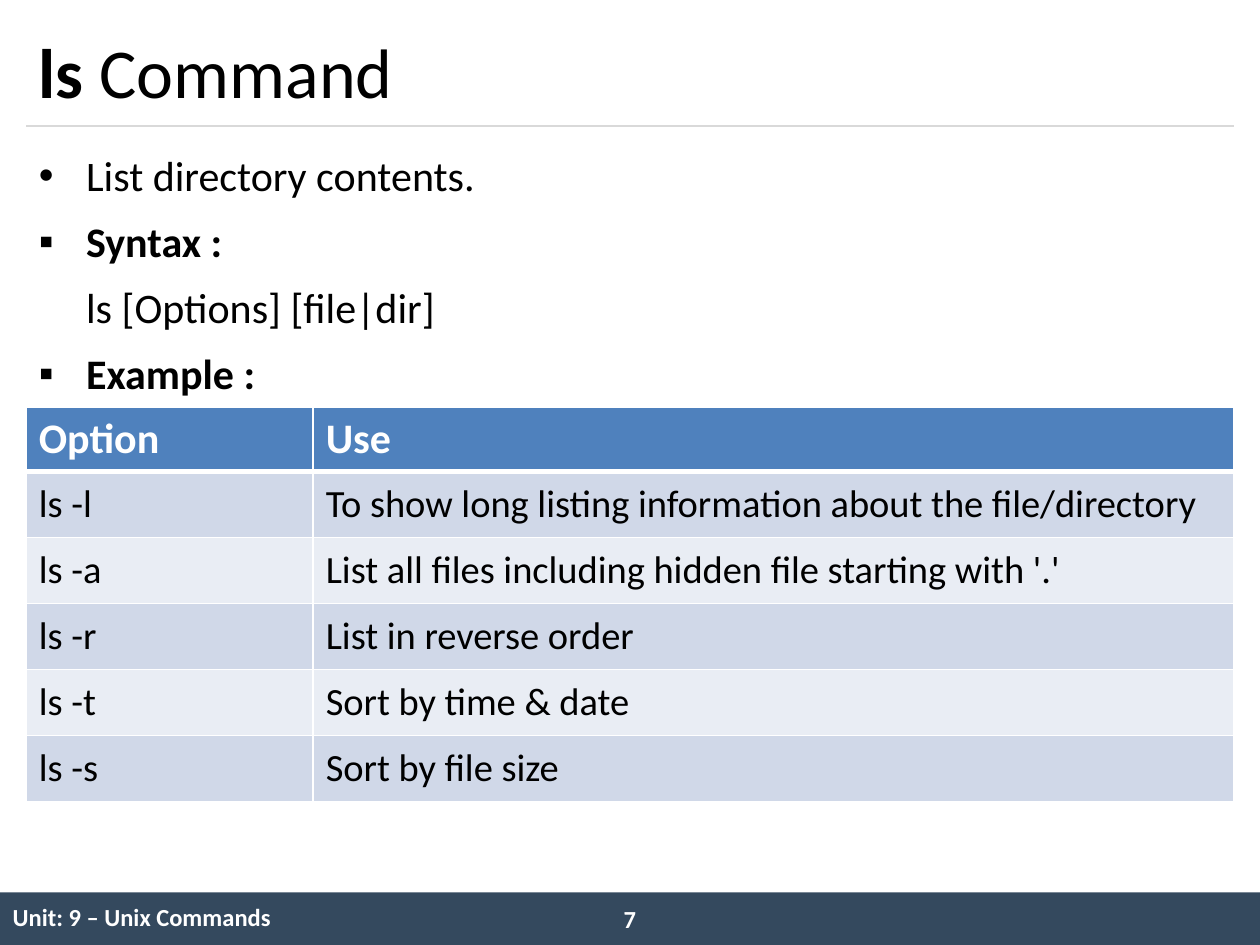
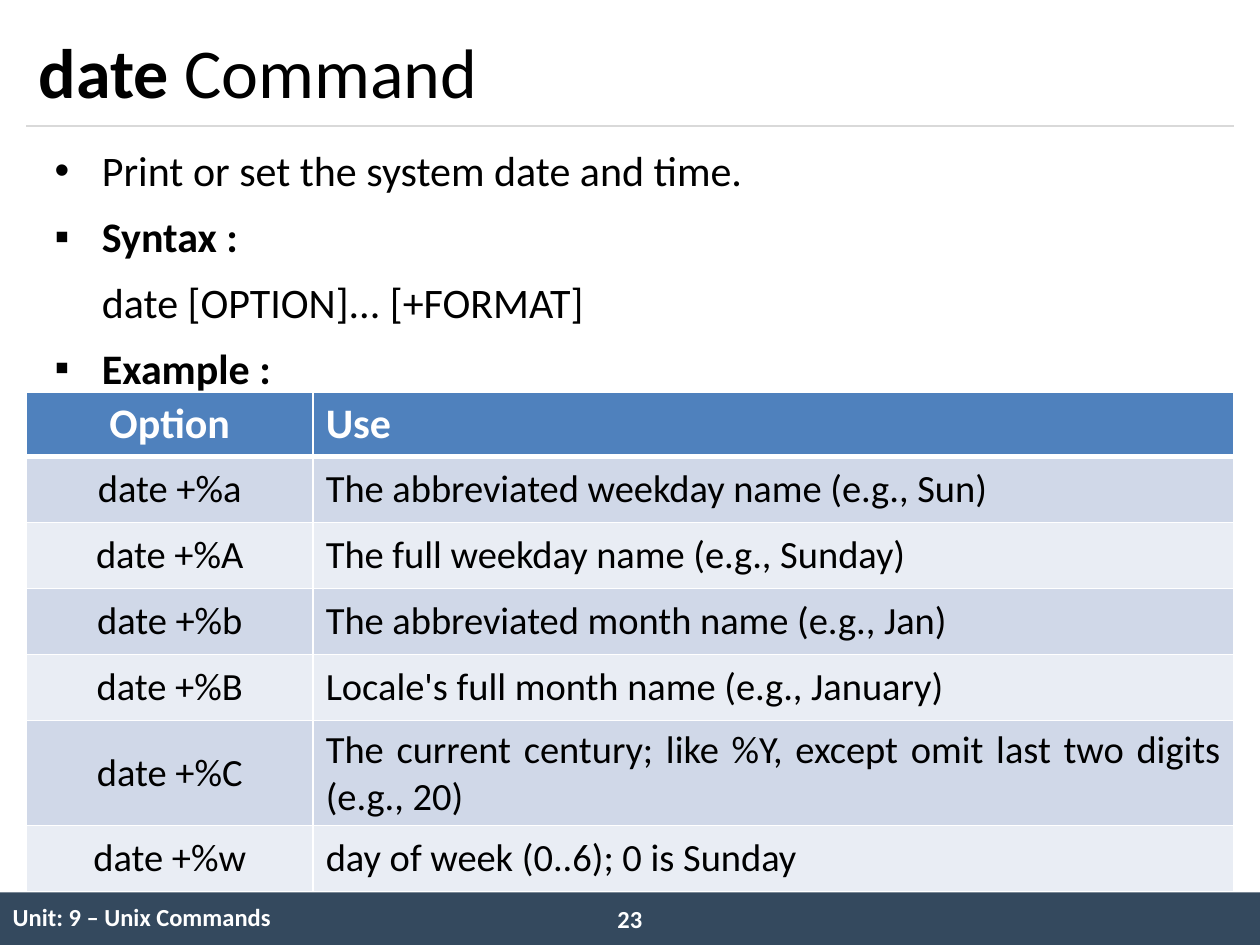
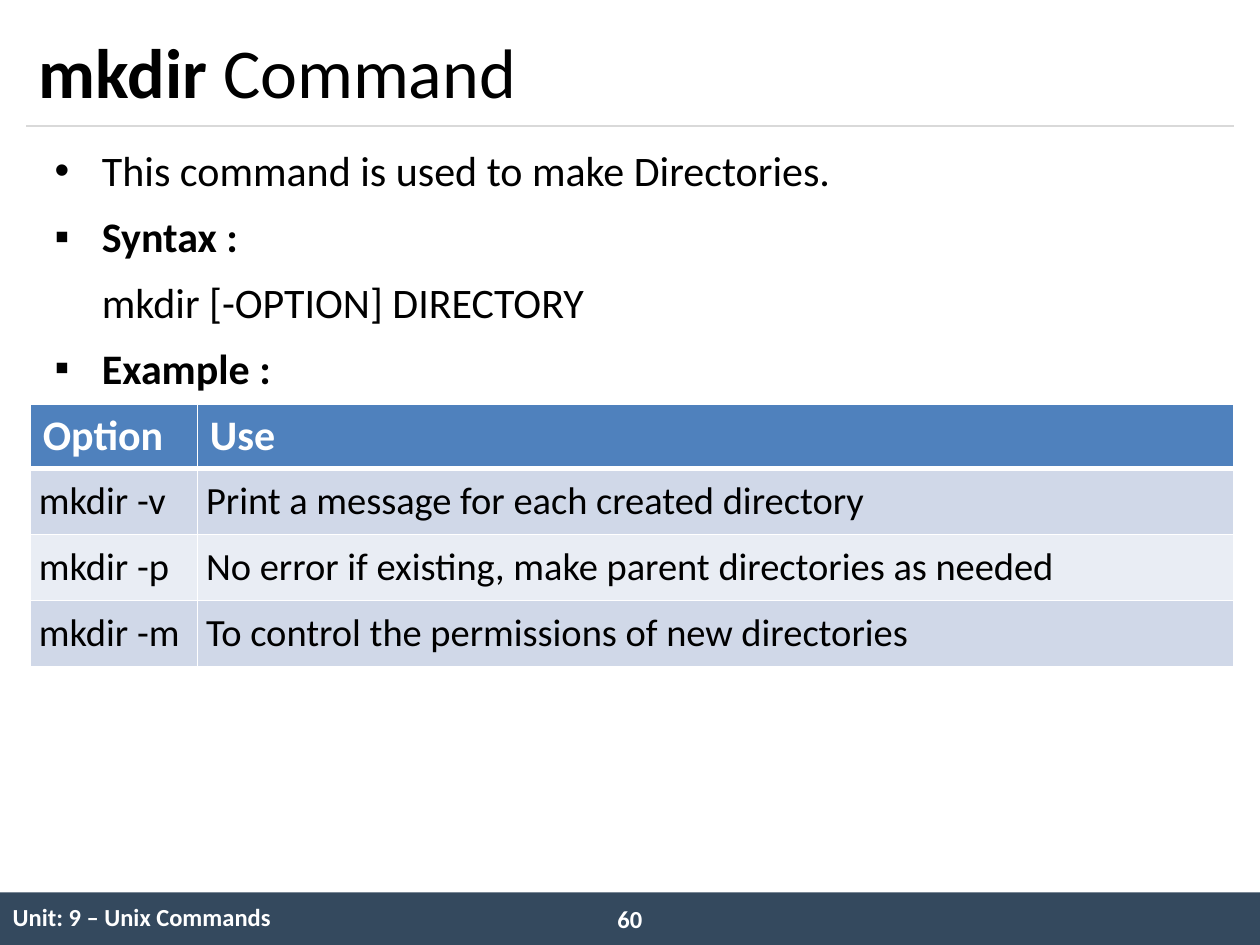
from pptx import Presentation
from pptx.dml.color import RGBColor
from pptx.enum.shapes import MSO_CONNECTOR, MSO_SHAPE
from pptx.enum.text import MSO_ANCHOR, MSO_AUTO_SIZE, PP_ALIGN
from pptx.oxml.ns import qn
from pptx.util import Pt
from lxml.etree import SubElement

# Shared look
FONT = "Calibri"
BLACK, WHITE = "000000", "FFFFFF"
BAND, RULE, HEADER = "34495E", "D9D9D9", "4F81BD"
STRIPES = ("D0D8E8", "E9EDF4")
WIDTH, HEIGHT = 720, 540
MARGIN = 15
BAND_TOP = 510
RULE_Y = 72
HEADER_HEIGHT, ROW_HEIGHT = 36.8, 37.75
INDENT = 27
LEFT, CENTER, JUSTIFY = PP_ALIGN.LEFT, PP_ALIGN.CENTER, PP_ALIGN.JUSTIFY


def rgb(color):
    return RGBColor.from_string(color)


def write(paragraph, text, *, size=24, color=BLACK, bold=False, align=LEFT):
    paragraph.alignment = align
    run = paragraph.add_run()
    run.text = text
    font = run.font
    font.name, font.size, font.bold = FONT, Pt(size), bold
    font.color.rgb = rgb(color)


def place(shape, left, top, width, height):
    shape.left, shape.top = Pt(left), Pt(top)
    shape.width, shape.height = Pt(width), Pt(height)


def add_title(slide, command):
    title = slide.shapes.title
    place(title, MARGIN, 9, WIDTH - 2 * MARGIN, 63)
    frame = title.text_frame
    frame.auto_size = MSO_AUTO_SIZE.NONE
    frame.vertical_anchor = MSO_ANCHOR.MIDDLE
    write(frame.paragraphs[0], command, size=40, bold=True)
    write(frame.paragraphs[0], " Command", size=40)

    # Rule under the title
    rule = slide.shapes.add_connector(
        MSO_CONNECTOR.STRAIGHT, Pt(MARGIN), Pt(RULE_Y), Pt(WIDTH - MARGIN), Pt(RULE_Y))
    rule.line.color.rgb = rgb(RULE)
    rule.line.width = Pt(0.75)
    SubElement(rule._element.spPr, qn("a:effectLst"))


def set_bullet(paragraph, character):
    properties = paragraph._p.get_or_add_pPr()
    properties.set("marL", str(Pt(INDENT)))
    properties.set("indent", str(-Pt(INDENT) if character else 0))
    if character:
        SubElement(properties, qn("a:buFont"), typeface="Arial")
        SubElement(properties, qn("a:buChar"), char=character)
    else:
        SubElement(properties, qn("a:buNone"))


def add_body(slide, purpose, syntax, left, top):
    body = slide.placeholders[1]
    place(body, left, top, 690, 420)
    frame = body.text_frame
    frame.auto_size = MSO_AUTO_SIZE.NONE
    lines = [("•", purpose, False), ("▪", "Syntax :", True),
             (None, syntax, False), ("▪", "Example :", True)]
    for index, (bullet, text, bold) in enumerate(lines):
        paragraph = frame.add_paragraph() if index else frame.paragraphs[0]
        set_bullet(paragraph, bullet)
        paragraph.line_spacing = 1.14
        paragraph.space_before = Pt(4.8 if index else 0)
        write(paragraph, text, bold=bold, align=JUSTIFY)


def set_borders(cell, top=0, bottom=0, sides=0):
    properties = cell._tc.get_or_add_tcPr()
    for side, width in (("L", sides), ("R", sides), ("T", top), ("B", bottom)):
        line = SubElement(properties, qn(f"a:ln{side}"), w=str(Pt(width)))
        if width:
            fill = SubElement(line, qn("a:solidFill"))
            SubElement(fill, qn("a:srgbClr"), val=WHITE)
        else:
            SubElement(line, qn("a:noFill"))


def add_table(slide, left, top, widths, heights):
    table = slide.shapes.add_table(
        len(heights), len(widths), Pt(left), Pt(top), Pt(sum(widths)), Pt(sum(heights))).table
    for column, width in zip(table.columns, widths):
        column.width = Pt(width)
    for row, height in zip(table.rows, heights):
        row.height = Pt(height)
    return table


def add_option_table(slide, options, left, top, widths, align=LEFT, tight=False):
    rows = [("Option", "Use"), *options]
    heights = [HEADER_HEIGHT] + [ROW_HEIGHT] * len(options)
    table = add_table(slide, left, top, widths, heights)
    for row_index, texts in enumerate(rows):
        is_header = row_index == 0
        for column_index, text in enumerate(texts):
            cell = table.cell(row_index, column_index)
            set_borders(cell, top=3 if row_index == 1 else 1,
                        bottom=3 if is_header else 1, sides=1)
            cell.fill.solid()
            cell.fill.fore_color.rgb = rgb(HEADER if is_header else STRIPES[(row_index - 1) % 2])
            cell.vertical_anchor = MSO_ANCHOR.MIDDLE
            if tight and not is_header:
                cell.margin_left = cell.margin_right = Pt(5)
                cell.margin_top = cell.margin_bottom = 0
            write(cell.text_frame.paragraphs[0], text,
                  size=24 if is_header else 22, bold=is_header,
                  color=WHITE if is_header else BLACK,
                  align=JUSTIFY if column_index else align)


def add_footer(slide, number):
    # Band
    band = slide.shapes.add_shape(
        MSO_SHAPE.RECTANGLE, 0, Pt(BAND_TOP), Pt(WIDTH), Pt(HEIGHT - BAND_TOP))
    band.shadow.inherit = False
    band.fill.solid()
    band.fill.fore_color.rgb = rgb(BAND)
    band.line.fill.background()

    # Clear table with the unit name
    table = add_table(slide, 0, 509.5, (366, 48, 306), (30.5,))
    table.first_row = table.horz_banding = False
    for cell in table.iter_cells():
        set_borders(cell)
        cell.fill.background()
        cell.vertical_anchor = MSO_ANCHOR.MIDDLE
    write(table.cell(0, 0).text_frame.paragraphs[0], "Unit: 9 – Unix Commands",
          size=14, color=WHITE, bold=True)

    # Page number
    box = slide.shapes.add_textbox(Pt(339), Pt(513), Pt(42), Pt(24))
    box.text_frame.word_wrap = True
    write(box.text_frame.paragraphs[0], str(number),
          size=14, color=WHITE, bold=True, align=CENTER)


def add_command_slide(presentation, command, number, purpose, syntax, options,
                      body_at, table_format):
    slide = presentation.slides.add_slide(presentation.slide_layouts[1])
    add_footer(slide, number)
    add_title(slide, command)
    add_body(slide, purpose, syntax, *body_at)
    add_option_table(slide, options, **table_format)


def main():
    presentation = Presentation()
    presentation.slide_width, presentation.slide_height = Pt(WIDTH), Pt(HEIGHT)

    add_command_slide(
        presentation, "ls", 7, "List directory contents.", "ls [Options] [file|dir]",
        [("ls -l", "To show long listing information about the file/directory"),
         ("ls -a", "List all files including hidden file starting with '.'"),
         ("ls -r", "List in reverse order"),
         ("ls -t", "Sort by time & date"),
         ("ls -s", "Sort by file size")],
        body_at=(MARGIN, 78),
        table_format=dict(left=MARGIN, top=232.5, widths=(164, 526)))

    add_command_slide(
        presentation, "date", 23, "Print or set the system date and time.",
        "date [OPTION]... [+FORMAT]",
        [("date +%a", "The abbreviated weekday name (e.g., Sun)"),
         ("date +%A", "The full weekday name (e.g., Sunday)"),
         ("date +%b", "The abbreviated month name (e.g., Jan)"),
         ("date +%B", "Locale's full month name (e.g., January)"),
         ("date +%C", "The current century; like %Y, except omit last two digits (e.g., 20)"),
         ("date +%w", "day of week (0..6); 0 is Sunday")],
        body_at=(24, 75),
        table_format=dict(left=MARGIN, top=224, widths=(164, 526), align=CENTER))

    add_command_slide(
        presentation, "mkdir", 60, "This command is used to make Directories.",
        "mkdir [-OPTION] DIRECTORY",
        [("mkdir -v", "Print a message for each created directory"),
         ("mkdir -p", "No error if existing, make parent directories as needed"),
         ("mkdir -m", "To control the permissions of new directories")],
        body_at=(24, 75),
        table_format=dict(left=17.25, top=231, widths=(95.5, 592.5), tight=True))

    presentation.save("out.pptx")


if __name__ == "__main__":
    main()
